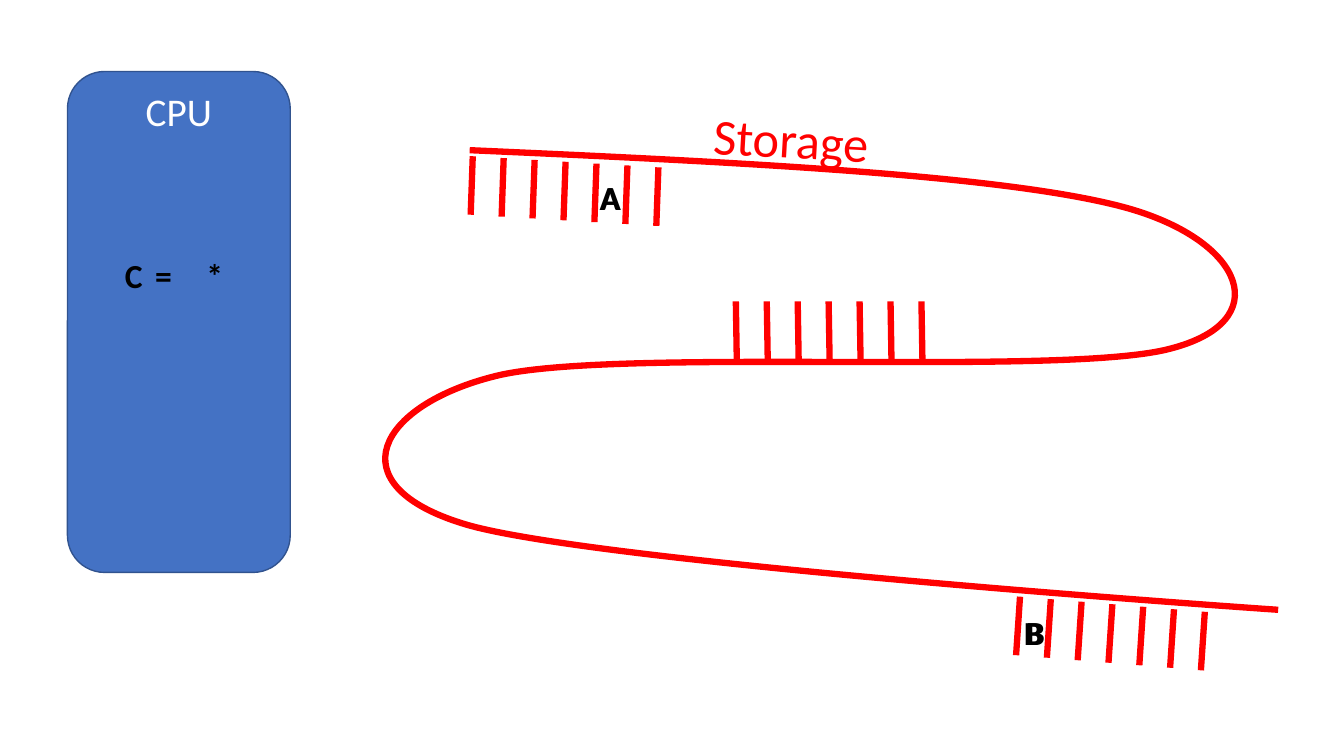
import pptx
import pptx.dml.color
import pptx.enum.shapes
import pptx.enum.text
import pptx.oxml
import pptx.oxml.ns
import pptx.util
from lxml import etree

Pt = pptx.util.Pt
RED, BLACK, WHITE = "FF0000", "000000", "FFFFFF"
CPU_FILL, CPU_LINE = "4472C4", "31538F"
TAPE_WIDTH = 4.5

# Storage tape: start point, then cubic segments of two handles and an end
TAPE_START = (335.5, 107.3)
TAPE_CURVES = [
    [(529.2, 115.9), (722.9, 125.3), (806.4, 149)],
    [(889.2, 172.8), (911.5, 229.7), (835.9, 249.1)],
    [(760.3, 269.3), (438.5, 247.7), (354.2, 268.6)],
    [(270, 289.4), (239, 346.3), (331.9, 374.4)],
    [(424.8, 402.5), (913, 435.6), (913, 435.6)],
]
TAPE_LEFT, TAPE_TOP, TAPE_RIGHT, TAPE_BOTTOM = 275, 107.3, 913, 435.6

# Cell marks: ends of the first mark, then the step to the next
CELL_ROWS = [
    ((336.2, 153.4), (337.7, 111.6), (22.1, 1.32)),
    ((525.6, 215.3), (526.3, 257), (22.1, 0)),
    ((725.8, 468), (728.6, 426.2), (22, 1.8)),
]
CELL_MARKS = 7

# Values in storage (each with its movable twin) and the CPU's formula
SYMBOLS = [
    ("A", 421.9, 123.1), ("B", 725.8, 433.4),
    ("=", 103.7, 178.6), ("*", 140.4, 178.6),
    ("A", 421.2, 123.1), ("C", 82.1, 178.6), ("B", 724.3, 433.4),
]


def rgb(hex_colour):
    return pptx.dml.color.RGBColor.from_string(hex_colour)


def set_line(outlined, colour, width):
    outlined.line.color.rgb = rgb(colour)
    outlined.line.width = Pt(width)


def write_text(frame, text, size=24, colour=BLACK, bold=False, align="LEFT"):
    frame.word_wrap = True
    frame.vertical_anchor = pptx.enum.text.MSO_ANCHOR.TOP
    paragraph = frame.paragraphs[0]
    paragraph.alignment = pptx.enum.text.PP_ALIGN[align]
    run = paragraph.add_run()
    run.text = text
    run.font.name = "Calibri"
    run.font.size = Pt(size)
    run.font.bold = bold
    run.font.color.rgb = rgb(colour)


def add_label(slide, text, left, top, width, height, rotation=0, **text_format):
    label = slide.shapes.add_textbox(Pt(left), Pt(top), Pt(width), Pt(height))
    label.rotation = rotation
    write_text(label.text_frame, text, **text_format)
    label.text_frame.auto_size = pptx.enum.text.MSO_AUTO_SIZE.SHAPE_TO_FIT_TEXT


def add_cpu(slide):
    cpu = slide.shapes.add_shape(
        pptx.enum.shapes.MSO_SHAPE.ROUNDED_RECTANGLE,
        Pt(48.2), Pt(51.1), Pt(159.1), Pt(357.8))
    cpu.shadow.inherit = False
    cpu.fill.solid()
    cpu.fill.fore_color.rgb = rgb(CPU_FILL)
    set_line(cpu, CPU_LINE, 1)
    write_text(cpu.text_frame, "CPU", size=28, colour=WHITE, align="CENTER")


def add_tape(slide):
    # The frame's corners fix the extents; curves then replace its sides
    builder = slide.shapes.build_freeform(Pt(TAPE_LEFT), Pt(TAPE_TOP))
    builder.add_line_segments([(Pt(TAPE_RIGHT), Pt(TAPE_BOTTOM))], close=False)
    tape = builder.convert_to_shape()
    tape.shadow.inherit = False
    tape.fill.background()
    set_line(tape, RED, TAPE_WIDTH)

    qn = pptx.oxml.ns.qn
    outline = next(tape.element.iter(qn("a:path")))
    for side in list(outline):
        outline.remove(side)
    moves = [("a:moveTo", [TAPE_START])]
    moves += [("a:cubicBezTo", curve) for curve in TAPE_CURVES]
    for tag, points in moves:
        move = etree.SubElement(outline, qn(tag))
        for x, y in points:
            etree.SubElement(move, qn("a:pt"), x=str(int(Pt(x - TAPE_LEFT))),
                             y=str(int(Pt(y - TAPE_TOP))))


def add_mark(slide, x1, y1, x2, y2):
    mark = slide.shapes.add_connector(
        pptx.enum.shapes.MSO_CONNECTOR.STRAIGHT, Pt(x1), Pt(y1), Pt(x2), Pt(y2))
    set_line(mark, RED, TAPE_WIDTH)
    properties = mark.element.spPr
    etree.SubElement(properties, pptx.oxml.ns.qn("a:effectLst"))


def add_cells(slide, start, end, step):
    for index in range(CELL_MARKS):
        dx, dy = index * step[0], index * step[1]
        add_mark(slide, start[0] + dx, start[1] + dy, end[0] + dx, end[1] + dy)


def main():
    deck = pptx.Presentation()
    deck.slide_width, deck.slide_height = Pt(960), Pt(540)
    slide = deck.slides.add_slide(deck.slide_layouts[6])

    # Processor
    add_cpu(slide)

    # Storage tape with its cells
    add_tape(slide)
    add_label(slide, "Storage", 502.6, 74.9, 159.1, 51.1,
              rotation=3.4, size=36, colour=RED)
    for start, end, step in CELL_ROWS:
        add_cells(slide, start, end, step)

    # Values and formula
    for symbol, left, top in SYMBOLS:
        add_label(slide, symbol, left, top, 20.9, 36, bold=True)

    deck.save("out.pptx")


if __name__ == "__main__":
    main()
